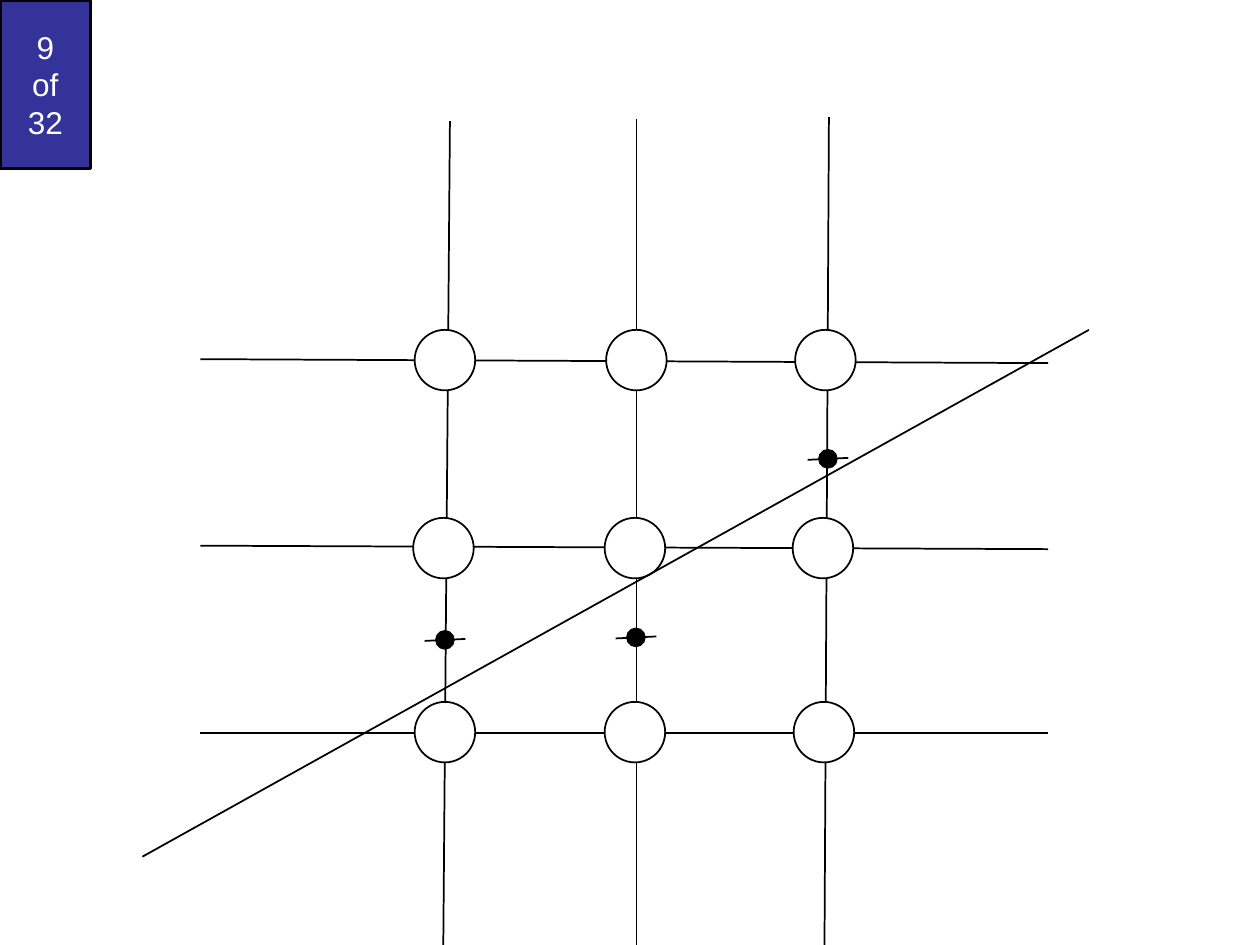
from lxml.etree import SubElement
from pptx import Presentation
from pptx.dml.color import RGBColor
from pptx.enum.shapes import MSO_CONNECTOR as CONNECTOR, MSO_SHAPE as SHAPE
from pptx.enum.text import MSO_ANCHOR as ANCHOR, PP_ALIGN as ALIGN
from pptx.oxml.ns import qn
from pptx.util import Cm, Pt

BLACK = RGBColor(0x00, 0x00, 0x00)
WHITE = RGBColor(0xFF, 0xFF, 0xFF)
INDIGO = RGBColor(0x33, 0x33, 0x99)


def add_figure(shapes, kind, left, top, width, height, text="", fill=WHITE,
               line_width=1, size=18, color=WHITE):
    shape = shapes.add_shape(kind, Cm(left), Cm(top), Cm(width), Cm(height))
    shape.shadow.inherit = False
    shape.fill.solid()
    shape.fill.fore_color.rgb = fill
    shape.line.color.rgb = BLACK
    shape.line.width = Pt(line_width)
    if text:
        shape.text_frame.vertical_anchor = ANCHOR.MIDDLE
        paragraph = shape.text_frame.paragraphs[0]
        paragraph.text = text
        paragraph.alignment = ALIGN.CENTER
        for run in paragraph.runs:
            run.font.name = "Arial"
            run.font.size = Pt(size)
            run.font.color.rgb = color


def add_line(shapes, x1, y1, x2, y2):
    line = shapes.add_connector(CONNECTOR.STRAIGHT, Cm(x1), Cm(y1), Cm(x2), Cm(y2))
    line.line.color.rgb = BLACK
    line.line.width = Pt(1)
    SubElement(line._element.spPr, qn("a:effectLst"))


presentation = Presentation()
presentation.slide_width = Cm(25.4)
presentation.slide_height = Cm(19.05)
slide = presentation.slides.add_slide(presentation.slide_layouts[6])

# Page counter
add_figure(slide.shapes, SHAPE.RECTANGLE, 0, 0, 1.83, 3.4,
           text="9\vof\v32", fill=INDIGO, line_width=2)

# Grid lines, slightly tilted
grid = slide.shapes.add_group_shape().shapes
for right_y, left_y in [(11.07, 11), (14.78, 14.78), (7.32, 7.24)]:
    add_line(grid, 21.13, right_y, 4.04, left_y)
for top_x, top_y, bottom_x in [(9.07, 2.44, 8.92), (12.83, 2.39, 12.83),
                               (16.71, 2.36, 16.61)]:
    add_line(grid, top_x, top_y, bottom_x, 21.06)

# Pixels at the crossings
pixel_rows = [
    (6.65, (8.36, 12.22, 16.03)),
    (10.44, (8.33, 12.19, 15.98)),
    (14.15, (8.36, 12.19, 16)),
]
for top, lefts in pixel_rows:
    for left in lefts:
        add_figure(grid, SHAPE.OVAL, left, top, 1.22, 1.22)

# Ideal line through the grid
add_line(grid, 2.87, 17.27, 21.95, 6.65)

# Midpoints: a tick with a dot on it
DOT = 0.36
for x, y in [(8.97, 12.9), (12.82, 12.85), (16.69, 9.25)]:
    midpoint = slide.shapes.add_group_shape().shapes
    add_line(midpoint, x - 0.41, y + 0.02, x + 0.41, y - 0.02)
    add_figure(midpoint, SHAPE.OVAL, x - DOT / 2, y - DOT / 2, DOT, DOT, fill=BLACK)

presentation.save("out.pptx")
